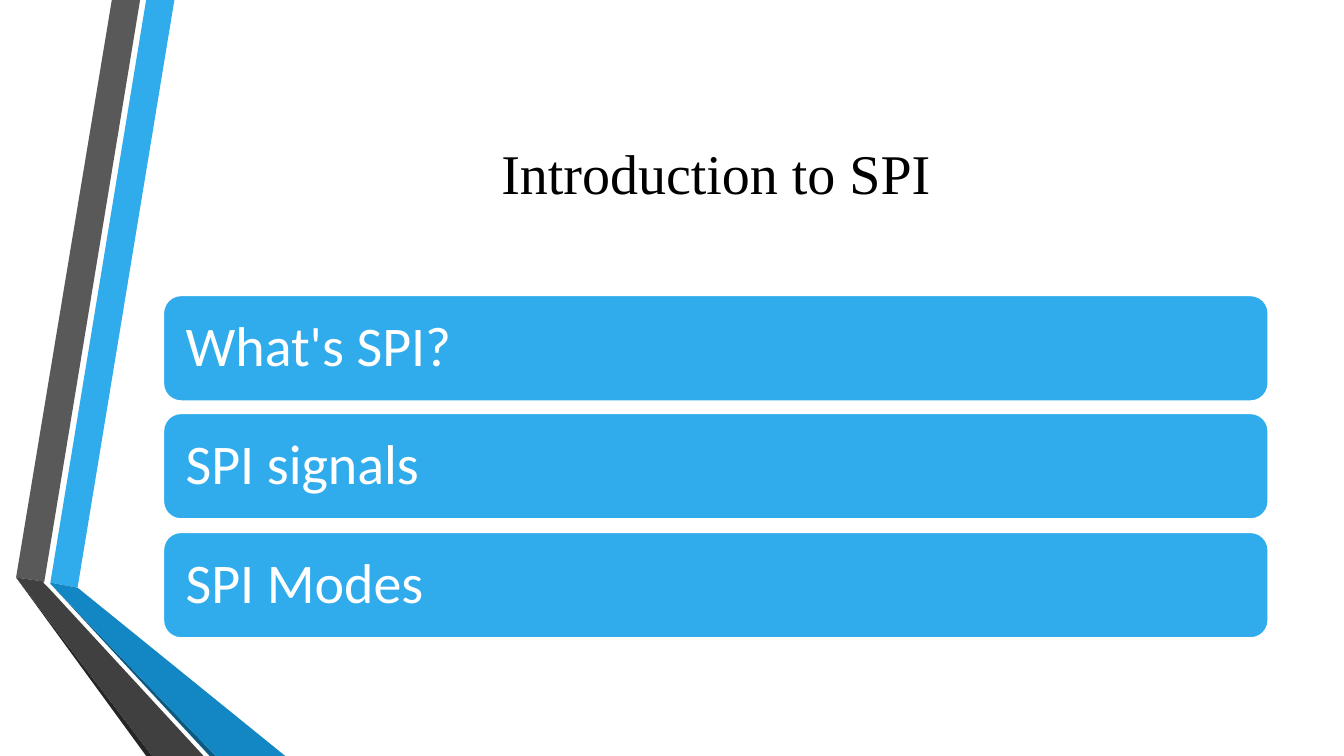
from pptx import Presentation
from pptx.dml.color import RGBColor
from pptx.enum.shapes import MSO_SHAPE
from pptx.enum.text import MSO_ANCHOR, PP_ALIGN
from pptx.util import Pt

PX = 9144
COLORS = {
    "sky": "30ACEC",
    "blue": "1287C3",
    "navy": "0C5A82",
    "gray": "595959",
    "charcoal": "404040",
    "soot": "262626",
    "white": "FFFFFF",
    "black": "000000",
}
RIBBONS = [
    ("sky", [(50, 578), (77, 583), (173, 0), (145, 0)]),
    ("gray", [(139, 0), (111, 0), (16, 573), (44, 577)]),
    ("soot", [(16, 573), (145, 750), (151, 750)]),
    ("navy", [(50, 579), (208, 750), (214, 750)]),
    ("blue", [(50, 579), (214, 750), (283, 750), (77, 583), (50, 578)]),
    ("charcoal", [(202, 750), (48, 583), (43, 578), (44, 577), (16, 573), (151, 750)]),
]
TOPICS = ["What's SPI?", "SPI signals", "SPI Modes"]
LEFT, WIDTH = 162, 1096
TOPIC_TOP, TOPIC_HEIGHT, TOPIC_STEP = 293, 105, 117.5


def color(name):
    return RGBColor.from_string(COLORS[name])


def place(shape, left, top, width, height):
    shape.left, shape.top = left * PX, top * PX
    shape.width, shape.height = width * PX, height * PX


def write(shape, text, font, ink, size=40, align=PP_ALIGN.LEFT, inset=10, spacing=1.0):
    frame = shape.text_frame
    frame.word_wrap = True
    frame.vertical_anchor = MSO_ANCHOR.MIDDLE
    frame.margin_left = frame.margin_right = inset * PX
    frame.margin_top = frame.margin_bottom = inset * PX
    paragraph = frame.paragraphs[0]
    paragraph.alignment = align
    paragraph.line_spacing = spacing
    run = paragraph.add_run()
    run.text = text
    run.font.name = font
    run.font.size = Pt(size)
    run.font.color.rgb = color(ink)


def add_ribbon(slide, fill, points):
    outline = slide.shapes.build_freeform(*points[0], scale=PX)
    outline.add_line_segments(points[1:], close=True)
    ribbon = outline.convert_to_shape()
    ribbon.shadow.inherit = False
    ribbon.fill.solid()
    ribbon.fill.fore_color.rgb = color(fill)
    ribbon.line.fill.background()


def add_topic(slide, text, top):
    topic = slide.shapes.add_shape(
        MSO_SHAPE.ROUNDED_RECTANGLE, LEFT * PX, top * PX, WIDTH * PX, TOPIC_HEIGHT * PX
    )
    topic.shadow.inherit = False
    topic.fill.solid()
    topic.fill.fore_color.rgb = color("sky")
    topic.line.color.rgb = color("white")
    topic.line.width = Pt(1.25)
    write(topic, text, "Calibri", "white", inset=17, spacing=0.9)


def main():
    deck = Presentation()
    deck.slide_width, deck.slide_height = 1333 * PX, 750 * PX
    slide = deck.slides.add_slide(deck.slide_layouts[5])
    slide.background.fill.solid()
    slide.background.fill.fore_color.rgb = color("white")

    for fill, points in RIBBONS:
        add_ribbon(slide, fill, points)

    heading = slide.shapes.title
    place(heading, LEFT, 75, WIDTH, 192)
    write(heading, "Introduction to SPI", "Times New Roman", "black", align=PP_ALIGN.CENTER)

    for index, topic in enumerate(TOPICS):
        add_topic(slide, topic, int(TOPIC_TOP + index * TOPIC_STEP))

    deck.save("out.pptx")


if __name__ == "__main__":
    main()
